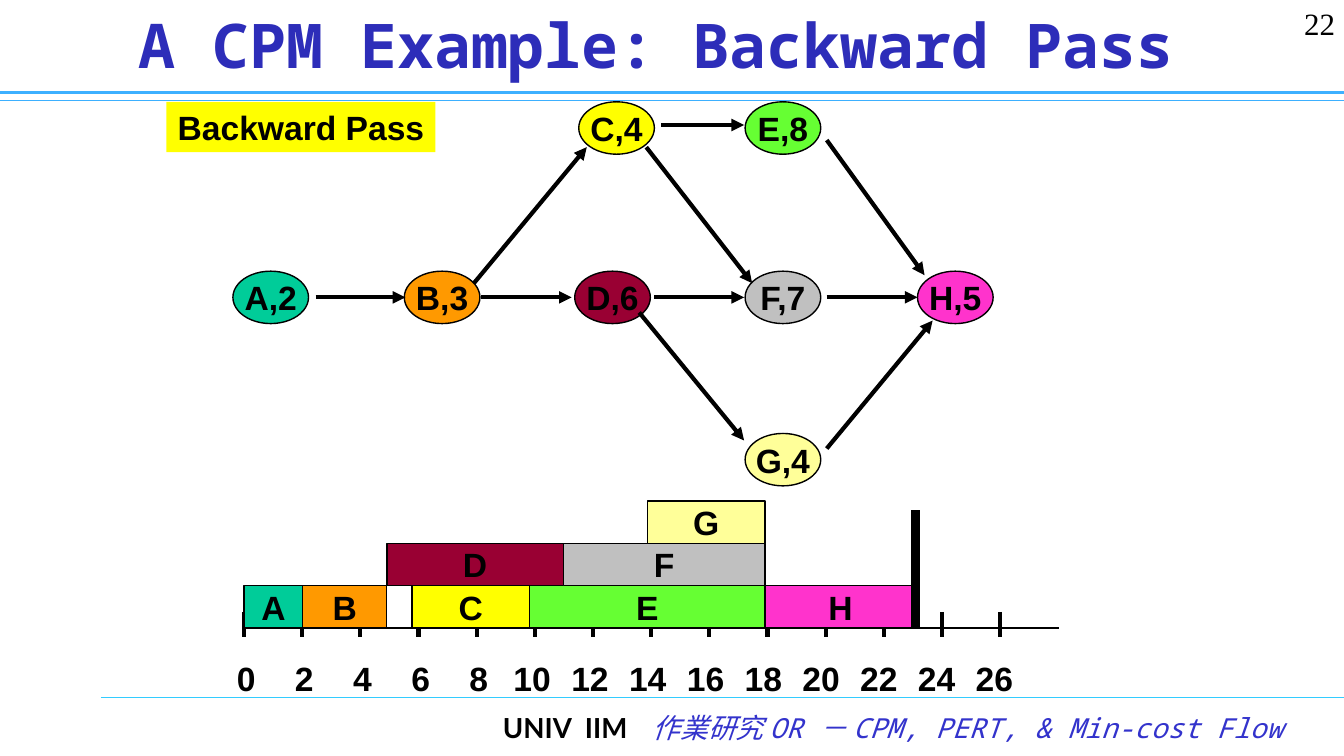
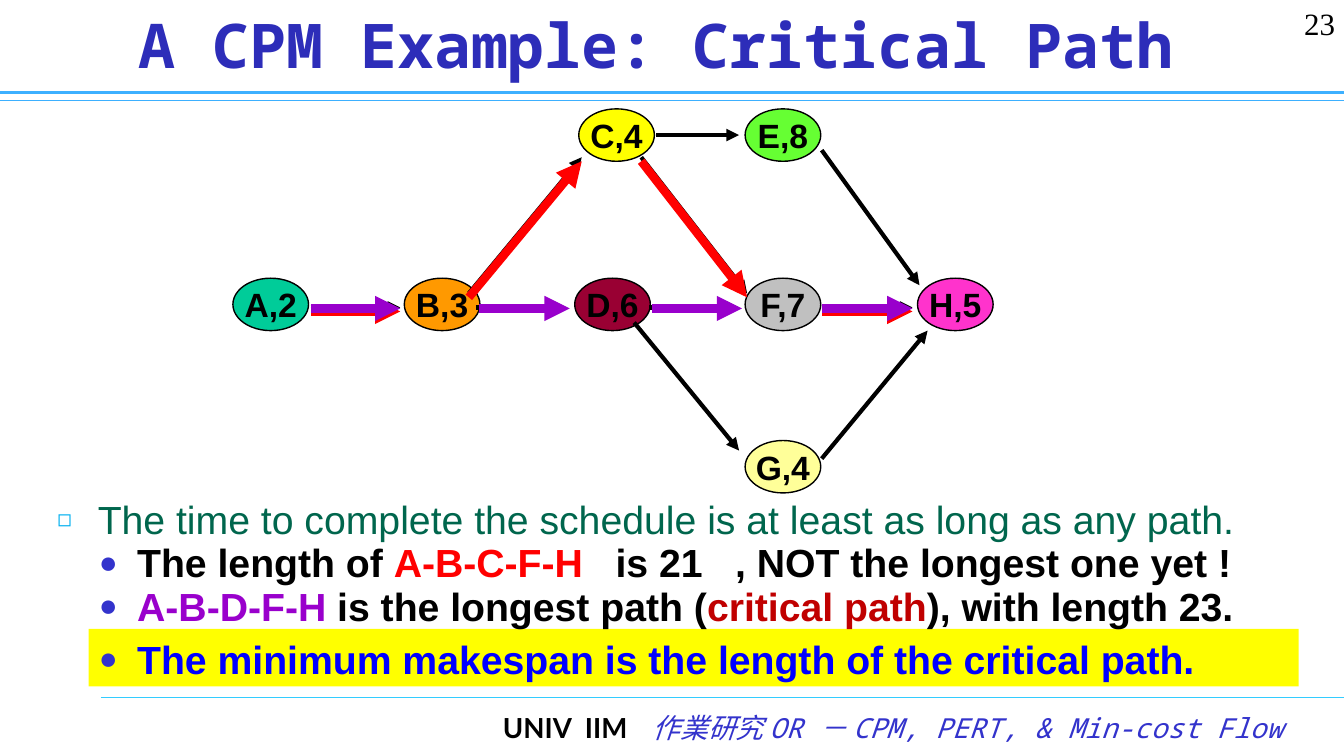
from lxml.etree import SubElement
from pptx import Presentation
from pptx.dml.color import RGBColor
from pptx.enum.shapes import MSO_CONNECTOR, MSO_SHAPE
from pptx.enum.text import MSO_ANCHOR, MSO_AUTO_SIZE, PP_ALIGN
from pptx.oxml.ns import qn
from pptx.util import Inches, Pt

BLACK = RGBColor(0x00, 0x00, 0x00)
YELLOW = RGBColor(0xFF, 0xFF, 0x00)
RED = RGBColor(0xFF, 0x00, 0x00)
DARK_RED = RGBColor(0xC0, 0x00, 0x00)
PURPLE = RGBColor(0x99, 0x00, 0xCC)
BLUE = RGBColor(0x00, 0x00, 0xFF)
GREEN = RGBColor(0x00, 0x66, 0x4D)
INDIGO = RGBColor(0x33, 0x33, 0xCC)
TITLE_BLUE = RGBColor(0x2D, 0x2D, 0xB9)
RULE_BLUE = RGBColor(0x3D, 0xB0, 0xFF)
FOOT_BLUE = RGBColor(0x33, 0xCC, 0xFF)
BULLET_BLUE = RGBColor(0x00, 0xB0, 0xF0)

SANS, MONO = "Arial", "Noto Sans Mono"

TASK_COLORS = {
    "A": RGBColor(0x00, 0xCC, 0x99),
    "B": RGBColor(0xFF, 0x99, 0x00),
    "C": YELLOW,
    "D": RGBColor(0x99, 0x00, 0x33),
    "E": RGBColor(0x66, 0xFF, 0x33),
    "F": RGBColor(0xC0, 0xC0, 0xC0),
    "G": RGBColor(0xFF, 0xFF, 0x99),
    "H": RGBColor(0xFF, 0x33, 0xCC),
}

# Task: duration, left, top
NODES = {
    "A": (2, 2.31, 2.69), "B": (3, 4.01, 2.69), "D": (6, 5.7, 2.69),
    "C": (4, 5.74, 1.01), "G": (4, 7.39, 4.3), "F": (7, 7.39, 2.69),
    "E": (8, 7.39, 1.01), "H": (5, 9.1, 2.69),
}

# Predecessor and successor: x1, y1, x2, y2
ARROWS = {
    "DF": (6.49, 2.95, 7.38, 2.95), "BD": (4.77, 2.95, 5.67, 2.95),
    "AB": (3.13, 2.95, 4.02, 2.95), "FH": (8.2, 2.95, 9.1, 2.95),
    "BC": (4.7, 2.81, 5.82, 1.46), "CE": (6.56, 1.24, 7.38, 1.24),
    "CF": (6.41, 1.46, 7.46, 2.81), "DG": (6.34, 3.1, 7.38, 4.37),
    "EH": (8.2, 1.39, 9.17, 2.73), "GH": (8.2, 4.45, 9.25, 3.18),
}

# Task: row, start and length in twelfths of an inch
BARS = {
    "A": (0, 0, 7), "B": (0, 7, 10), "C": (0, 20, 14), "D": (1, 17, 21),
    "E": (0, 34, 28), "F": (1, 38, 24), "G": (2, 48, 14), "H": (0, 62, 18),
}


def add_run(p, text, size=24, color=BLACK, font=SANS, bold=True,
            italic=False, spacing=0):
    """Append a run; spacing is extra points after each character."""
    r = p.add_run()
    r.text = text
    r.font.size, r.font.name = Pt(size), font
    r.font.bold, r.font.italic = bold, italic
    r.font.color.rgb = color
    if spacing:
        r.font._element.set("spc", str(round(spacing * 100)))


def set_bullet(p, char, color, percent, left, hanging):
    pPr = p._p.get_or_add_pPr()
    pPr.set("marL", str(Inches(left)))
    pPr.set("indent", str(-Inches(hanging)))
    clr = SubElement(pPr, qn("a:buClr"))
    SubElement(clr, qn("a:srgbClr"), val=str(color))
    SubElement(pPr, qn("a:buSzPct"), val=str(percent * 1000))
    SubElement(pPr, qn("a:buFont"), typeface=SANS)
    SubElement(pPr, qn("a:buChar"), char=char)


class Deck:
    def __init__(self):
        self.prs = Presentation()
        self.prs.slide_width = Inches(13.33)
        self.prs.slide_height = Inches(7.5)
        self.s = None

    def new_slide(self, title, number, layout):
        """Start a slide with its title, rules, footer and page number."""
        self.s = self.prs.slides.add_slide(self.prs.slide_layouts[layout])
        tf = self.placeholder(0, 0.35, 0, 12.32, 0.87)
        tf.vertical_anchor = MSO_ANCHOR.MIDDLE
        p = tf.paragraphs[0]
        p.alignment = PP_ALIGN.CENTER
        add_run(p, title, size=44, color=TITLE_BLUE, font=MONO)

        self.line(0, 1, 13.33, 1, RULE_BLUE, 0.75)
        self.line(0, 0.92, 13.33, 0.92, RULE_BLUE, 2.5)
        self.line(1, 6.92, 13.33, 6.92, FOOT_BLUE, 0.75)

        p = self.text_box(2.44, 7, 10.38, 0.5, PP_ALIGN.RIGHT)
        for text, spacing in (("UNIV", 0), (" ", 4.5), ("IIM", 0), (" ", 13.5)):
            add_run(p, text, size=19.7, font="Lato", spacing=spacing)
        add_run(p, "作業研究 OR － CPM, PERT, & Min-cost Flow", size=19.7,
                color=INDIGO, font=MONO, bold=False, italic=True)
        p = self.text_box(12.67, 0, 0.67, 0.5, PP_ALIGN.RIGHT)
        add_run(p, str(number), size=22.1, font="Times New Roman", bold=False)

    def placeholder(self, idx, x, y, w, h):
        sp = self.s.placeholders[idx]
        sp.left, sp.top = Inches(x), Inches(y)
        sp.width, sp.height = Inches(w), Inches(h)
        tf = sp.text_frame
        tf.auto_size = MSO_AUTO_SIZE.NONE
        return tf

    def text_box(self, x, y, w, h, align=PP_ALIGN.LEFT):
        sp = self.s.shapes.add_textbox(Inches(x), Inches(y), Inches(w), Inches(h))
        sp.text_frame.word_wrap = True
        p = sp.text_frame.paragraphs[0]
        p.alignment = align
        return p

    def shape(self, kind, x, y, w, h, fill, text="", outline=True):
        sp = self.s.shapes.add_shape(kind, Inches(x), Inches(y), Inches(w), Inches(h))
        sp.shadow.inherit = False
        sp.fill.solid()
        sp.fill.fore_color.rgb = fill
        if outline:
            sp.line.color.rgb, sp.line.width = BLACK, Pt(1)
        else:
            sp.line.fill.background()
        if text:
            tf = sp.text_frame
            tf.word_wrap = False
            tf.vertical_anchor = MSO_ANCHOR.MIDDLE
            p = tf.paragraphs[0]
            p.alignment = PP_ALIGN.CENTER
            add_run(p, text)
        return sp

    def line(self, x1, y1, x2, y2, color=BLACK, width=3, arrow=False):
        cn = self.s.shapes.add_connector(MSO_CONNECTOR.STRAIGHT, Inches(x1),
                                         Inches(y1), Inches(x2), Inches(y2))
        cn.line.color.rgb, cn.line.width = color, Pt(width)
        if arrow:
            SubElement(cn.line._get_or_add_ln(), qn("a:tailEnd"), type="triangle")
        SubElement(cn.element.spPr, qn("a:effectLst"))

    def nodes(self, dy=0):
        for task, (days, x, y) in NODES.items():
            self.shape(MSO_SHAPE.OVAL, x, y + dy, 0.75, 0.52,
                       TASK_COLORS[task], f"{task},{days}")

    def arrows(self, links=tuple(ARROWS), dx=0, dy=0, color=BLACK, width=3):
        for link in links:
            x1, y1, x2, y2 = ARROWS[link]
            self.line(x1 + dx, y1 + dy, x2 + dx, y2 + dy, color, width, arrow=True)

    def time_axis(self, x, y):
        self.line(x, y, 10.5, y, width=1)
        for i in range(14):
            tick = x + 0.577 * i
            self.line(tick, y - 0.16, tick, y + 0.09)
            if i < 5:
                left, width = tick - 0.17, 0.42
            else:
                left, width = 2.13 + 0.573 * i, 0.67
            add_run(self.text_box(left, y + 0.25, width, 0.51), str(2 * i))

    def schedule(self, x, y):
        """Draw the task bars in rows stacked upward from the axis at y."""
        height = 0.42
        for task, (row, start, length) in BARS.items():
            self.shape(MSO_SHAPE.RECTANGLE, x + start / 12, y - height * (row + 1),
                       length / 12, height, TASK_COLORS[task], task)

    def bullets(self, items):
        """Fill the body from (level, space before, runs) items."""
        tf = self.placeholder(1, 0.47, 4.9, 12.4, 1.95)
        for i, (level, before, runs) in enumerate(items):
            p = tf.add_paragraph() if i else tf.paragraphs[0]
            p.level = level
            p.line_spacing, p.space_before = Pt(31), Pt(before)
            if level:
                set_bullet(p, "●", INDIGO, 80, 0.79, 0.38)
            else:
                set_bullet(p, "◻", BULLET_BLUE, 60, 0.4, 0.4)
            for text, color, spacing in runs:
                add_run(p, text, size=28, color=color, bold=level > 0,
                        spacing=spacing)


def backward_pass(deck):
    deck.new_slide("A CPM Example: Backward Pass", 22, layout=5)
    deck.nodes()
    deck.shape(MSO_SHAPE.RECTANGLE, 1.65, 1.01, 2.67, 0.5, YELLOW,
               "Backward Pass", outline=False)
    deck.time_axis(2.42, 6.23)
    deck.schedule(2.42, 6.23)
    deck.line(9.08, 5.06, 9.08, 6.22, width=6)
    deck.arrows()


def critical_path(deck):
    deck.new_slide("A CPM Example: Critical Path", 23, layout=1)
    deck.nodes(dy=0.07)
    deck.arrows(dx=-0.05, dy=0.1)
    deck.arrows(("AB", "FH", "BC", "CF"), dx=-0.05, dy=0.14, color=RED, width=6)
    deck.arrows(("AB", "FH"), dx=-0.05, dy=0.11, color=PURPLE, width=6)
    deck.arrows(("DF", "BD"), dx=-0.02, dy=0.11, color=PURPLE, width=6)

    band = deck.shape(MSO_SHAPE.RECTANGLE, 0.88, 6.24, 12, 0.57, YELLOW,
                      outline=False)
    deck.s.placeholders[1].element.addprevious(band.element)
    wide_gap = (" ", BLACK, 15.5)
    deck.bullets([
        (0, 0, [("The time to complete the schedule is at least as long as any path.",
                 GREEN, 0)]),
        (1, 0, [("The length of ", BLACK, 0), ("A-B-C-F-H", RED, 0), wide_gap,
                ("is 21", BLACK, 0), wide_gap,
                (", NOT the longest one yet !", BLACK, 0)]),
        (1, 0, [("A-B-D-F-H", PURPLE, 0), (" is the longest path (", BLACK, 0),
                ("critical path", DARK_RED, 0), ("), with length 23.", BLACK, 0)]),
        (1, 7, [("The minimum makespan is the length of the critical path.",
                 BLUE, 0)]),
    ])


def main():
    deck = Deck()
    backward_pass(deck)
    critical_path(deck)
    deck.prs.save("out.pptx")


if __name__ == "__main__":
    main()
